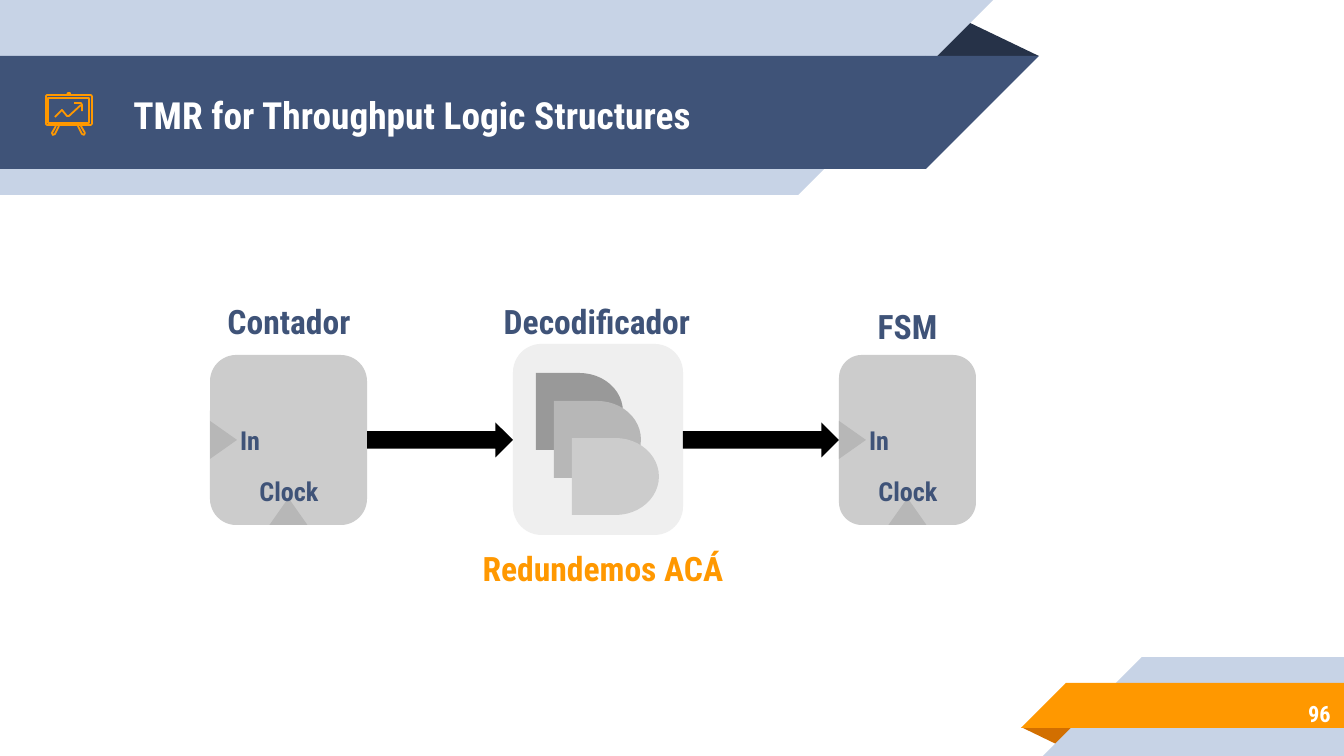
from dataclasses import dataclass

from pptx import Presentation
from pptx.dml.color import RGBColor
from pptx.enum.shapes import MSO_SHAPE as Shape
from pptx.enum.text import MSO_ANCHOR as Anchor, PP_ALIGN as Align
from pptx.util import Pt

EMU_PER_PX = 914400 / 134.4
INSET = 13.44


@dataclass(frozen=True)
class Theme:
    font: str = "Roboto Condensed"
    navy: str = "3F5378"
    ink: str = "263248"
    sky: str = "C7D3E6"
    orange: str = "FF9800"
    rust: str = "D26F00"
    white: str = "FFFFFF"
    black: str = "000000"
    panel: str = "EFEFEF"
    block: str = "CCCCCC"
    port: str = "B7B7B7"
    gate: str = "999999"
    title: int = 20
    label: int = 18
    pin: int = 14
    number: int = 12


THEME = Theme()

# Content: boxes are left, top, width, height in px
TITLE = "TMR for Throughput Logic Structures"
PAGE_NUMBER = "96"
LABELS = [
    ("Contador", (176, 298, 226, 47), THEME.navy),
    ("Decodificador", (464, 298, 266, 47), THEME.navy),
    ("FSM", (792, 303, 231, 47), THEME.navy),
    ("Redundemos ACÁ", (453, 545, 300, 47), THEME.orange),
]
REGISTERS = [(210, 355, 157, 170), (839, 355, 137, 170)]
DECODER = (513, 344, 170, 191)
GATES = [
    ((536, 373), THEME.gate),
    ((554, 401), THEME.port),
    ((572, 438), THEME.block),
]
GATE_SIZE = (87, 77)
PORT_SIZE = (38, 27)
FLOW_Y, FLOW_HEIGHT = 440, 35

# Bands: left and width of the bar, top, height, colour
HEADER_BANDS = [(0, 798, 0, 195, THEME.sky), (0, 926, 56, 113, THEME.navy)]
FOOTER_BANDS = [(1142, 202, 657, 99, THEME.sky), (1066, 278, 683, 45, THEME.orange)]

# Easel icon
ICON_BOARDS = [(Shape.ROUNDED_RECTANGLE, (46, 95, 46, 30)),
               (Shape.RECTANGLE, (48, 98, 41, 25))]
ICON_STROKES = [
    [(67, 95), (68, 93), (70, 93), (70, 95)],
    [(56, 126), (52, 133), (53, 135), (55, 134), (59, 126)],
    [(78, 126), (82, 134), (84, 135), (85, 133), (81, 126)],
    [(81, 105), (69, 116), (67, 116), (62, 110), (55, 117)],
    [(74, 103), (81, 103), (82, 105), (82, 111)],
]


def px(value):
    return round(value * EMU_PER_PX)


def color(value):
    return RGBColor.from_string(value)


def add_solid(page, kind, box, fill, rotation=0, adjust=None):
    shape = page.shapes.add_shape(kind, *map(px, box))
    shape.shadow.inherit = False
    shape.fill.solid()
    shape.fill.fore_color.rgb = color(fill)
    shape.line.fill.background()
    shape.rotation = rotation
    if adjust is not None:
        shape.adjustments[0] = adjust
    return shape


def outline(shape):
    shape.shadow.inherit = False
    shape.fill.background()
    shape.line.color.rgb = color(THEME.orange)
    shape.line.width = Pt(0.96)


def write(page, text, box, size, fill=THEME.navy, align=Align.CENTER, holder=None):
    holder = holder or page.shapes.add_textbox(0, 0, 0, 0)
    holder.left, holder.top, holder.width, holder.height = map(px, box)
    frame = holder.text_frame
    frame.word_wrap = True
    frame.vertical_anchor = Anchor.MIDDLE
    frame.margin_left = frame.margin_right = px(INSET)
    frame.margin_top = frame.margin_bottom = px(INSET)
    para = frame.paragraphs[0]
    para.alignment = align
    span = para.add_run()
    span.text = text
    span.font.name = THEME.font
    span.font.size = Pt(size)
    span.font.bold = True
    span.font.color.rgb = color(fill)


def add_bands(page):
    add_solid(page, Shape.ISOSCELES_TRIANGLE, (925, 19, 114, 37), THEME.ink, adjust=0.324)
    for left, width, top, height, fill in HEADER_BANDS:
        add_solid(page, Shape.RECTANGLE, (left, top, width, height), fill)
        add_solid(page, Shape.RIGHT_TRIANGLE, (left + width, top, height, height), fill, 90)
    add_solid(page, Shape.ISOSCELES_TRIANGLE, (1021, 727, 58, 19), THEME.rust, 180, 0.324)
    for left, width, top, height, fill in FOOTER_BANDS:
        add_solid(page, Shape.RECTANGLE, (left, top, width, height), fill)
        add_solid(page, Shape.RIGHT_TRIANGLE, (left - height, top, height, height), fill, 270)


def add_icon(page):
    for kind, box in ICON_BOARDS:
        board = page.shapes.add_shape(kind, *map(px, box))
        if kind == Shape.ROUNDED_RECTANGLE:
            board.adjustments[0] = 0.05
        outline(board)
    for start, *points in ICON_STROKES:
        builder = page.shapes.build_freeform(*start, scale=EMU_PER_PX)
        builder.add_line_segments(points, close=False)
        outline(builder.convert_to_shape())


def add_register(page, box):
    left, top, width, height = box
    port_width, port_height = PORT_SIZE
    middle, bottom = left + width / 2, top + height
    add_solid(page, Shape.ROUNDED_RECTANGLE, box, THEME.block)
    clock = (middle - port_width / 2, bottom - port_height, *PORT_SIZE)
    add_solid(page, Shape.ISOSCELES_TRIANGLE, clock, THEME.port)
    # The input port is turned about its centre to sit on the left edge
    entry = (left + (port_height - port_width) / 2, FLOW_Y - port_height / 2, *PORT_SIZE)
    add_solid(page, Shape.ISOSCELES_TRIANGLE, entry, THEME.port, 90)
    write(page, "Clock", (middle - 48, 468, 97, 47), THEME.pin)
    write(page, "In", (left + 13, 417, 54, 47), THEME.pin)


def add_decoder(page):
    add_solid(page, Shape.ROUNDED_RECTANGLE, DECODER, THEME.panel)
    for corner, fill in GATES:
        add_solid(page, Shape.FLOWCHART_DELAY, (*corner, *GATE_SIZE), fill)


def add_flow(page):
    stages = [REGISTERS[0], DECODER, REGISTERS[1]]
    for source, target in zip(stages, stages[1:]):
        start = source[0] + source[2]
        box = (start, FLOW_Y - FLOW_HEIGHT / 2, target[0] - start, FLOW_HEIGHT)
        add_solid(page, Shape.RIGHT_ARROW, box, THEME.black)


def main():
    deck = Presentation()
    deck.slide_width, deck.slide_height = px(1344), px(756)
    page = deck.slides.add_slide(deck.slide_layouts[5])

    # Frame of the slide
    add_bands(page)
    title = page.shapes.title
    page.shapes._spTree.append(title._element)  # bring above the bands
    write(page, TITLE, (120, 58, 804, 113), THEME.title, THEME.white, Align.LEFT, title)
    write(page, PAGE_NUMBER, (1125, 690, 219, 47), THEME.number, THEME.white, Align.RIGHT)
    add_icon(page)

    # Block diagram
    add_decoder(page)
    for box in REGISTERS:
        add_register(page, box)
    add_flow(page)
    for text, box, fill in LABELS:
        write(page, text, box, THEME.label, fill)

    deck.save("out.pptx")


if __name__ == "__main__":
    main()
